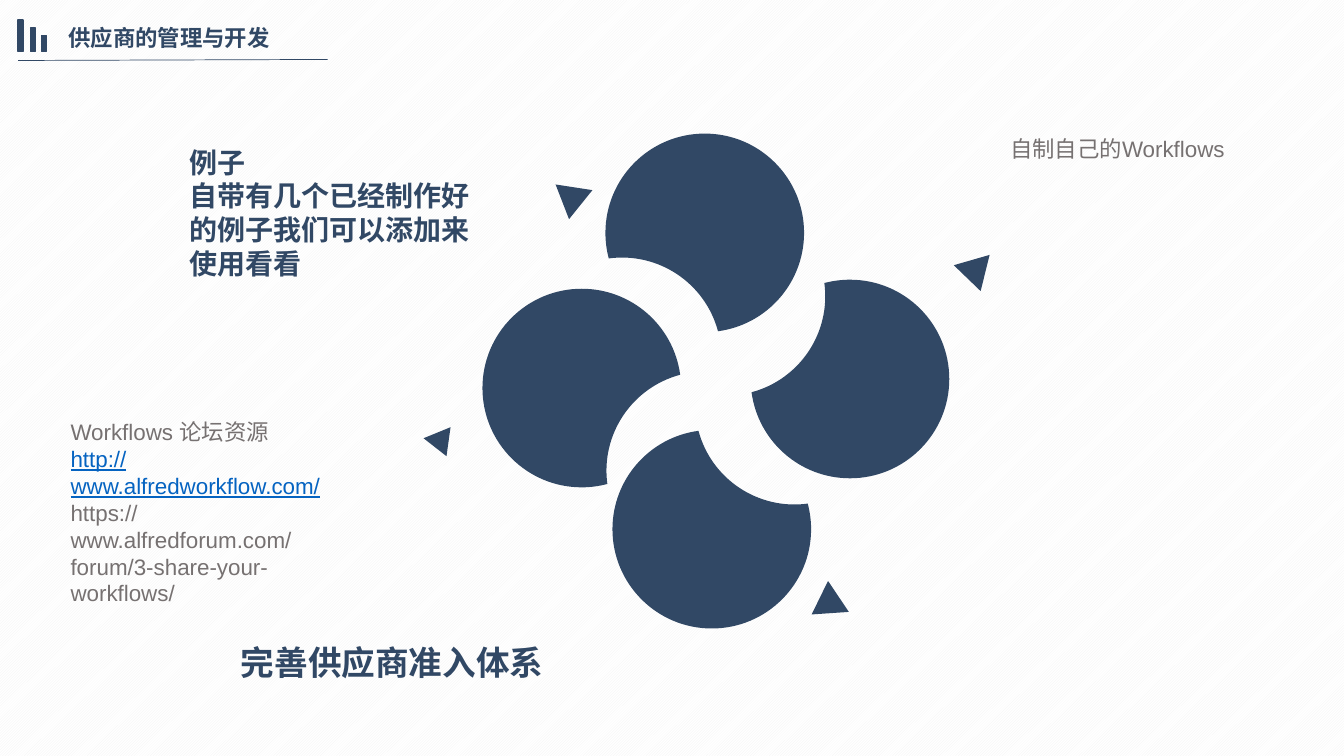
from math import acos, atan2, ceil, cos, floor, hypot, pi, sin, tan

from lxml.etree import SubElement
from pptx import Presentation
from pptx.dml.color import RGBColor
from pptx.enum.dml import MSO_PATTERN
from pptx.enum.shapes import MSO_CONNECTOR, MSO_SHAPE
from pptx.enum.text import MSO_ANCHOR, MSO_AUTO_SIZE, PP_ALIGN
from pptx.oxml.ns import qn
from pptx.util import Inches, Pt

NAVY, GREY, LINK = "314865", "767171", "0563C1"

TITLE = "供应商的管理与开发"
# box, inset, size, bold, lines as (text, colour, underline)
TEXTS = [
    ((1.88, 1.44, 2.83, 1.35), 0, 20, True, [
        ("例子", NAVY, False),
        ("自带有几个已经制作好的例子我们可以添加来使用看看", NAVY, False)]),
    ((10.02, 1.34, 2.79, 0.27), 0, 16, False, [
        ("自制自己的Workflows", GREY, False)]),
    ((0.7, 4.15, 2.83, 1.88), 0, 16, False, [
        ("Workflows 论坛资源", GREY, False),
        ("http://www.alfredworkflow.com/", LINK, True),
        ("https://www.alfredforum.com/forum/3-share-your-workflows/", GREY, False)]),
    ((2.29, 6.32, 3.91, 0.5), None, 24, True, [
        ("完善供应商准入体系", NAVY, False)]),
]
# circle centre, offset from it to the centre of the circle that cuts it
RADIUS = 1.97 / 2
PETALS = [
    ((6.99, 2.31), (-0.82, 1.23)),
    ((5.77, 3.85), (1.23, 0.82)),
    ((8.43, 3.76), (-1.23, -0.82)),
    ((7.06, 5.25), (0.82, -1.23)),
]
# left, top, width, height, rotation
TRIANGLES = [
    (5.45, 1.77, 0.37, 0.32, 308.8),
    (9.43, 2.51, 0.37, 0.32, 283.9),
    (8.09, 5.84, 0.37, 0.32, 116.1),
    (4.18, 4.24, 0.29, 0.25, 277.9),
]
BAR_BOTTOM = 0.51
BARS = [(0.18, 0.31), (0.3, 0.23), (0.41, 0.16)]  # left, height


def rgb(color):
    return RGBColor.from_string(color)


def paint(s, line=None):
    s.shadow.inherit = False
    s.fill.solid()
    s.fill.fore_color.rgb = rgb(NAVY)
    if line:
        s.line.color.rgb = rgb(NAVY)
        s.line.width = Pt(line)
    else:
        s.line.fill.background()


def write(p, text, size=16, color=NAVY, bold=False, underline=False, align=PP_ALIGN.LEFT):
    p.alignment = align
    r = p.add_run()
    r.text = text
    f = r.font
    f.name, f.size, f.bold, f.underline = "Arial", Pt(size), bold, underline
    f.color.rgb = rgb(color)


def set_frame(tf, inset=None):
    tf.word_wrap = True
    tf.auto_size = MSO_AUTO_SIZE.NONE
    tf.vertical_anchor = MSO_ANCHOR.TOP
    if inset is not None:
        tf.margin_left = tf.margin_top = tf.margin_right = tf.margin_bottom = Inches(inset)


def arc(center, angles):
    """Return Bezier points, three for each step between the angles, after the first."""
    def at(a, along=0):
        x = center[0] + RADIUS * (cos(a) - along * sin(a))
        y = center[1] + RADIUS * (sin(a) + along * cos(a))
        return Inches(x), Inches(y)

    points = [at(angles[0])]
    for a, b in zip(angles, angles[1:]):
        k = 4 / 3 * tan((b - a) / 4)
        points += [at(a, k), at(b, -k), at(b)]
    return points


def curve(s):
    """Turn each three line segments of a freeform into one Bezier segment."""
    lines = list(s._element.iter(qn("a:lnTo")))
    for first, second, last in zip(lines[::3], lines[1::3], lines[2::3]):
        first.tag = qn("a:cubicBezTo")
        for line in (second, last):
            first.append(line[0])
            line.getparent().remove(line)


def add_petal(shapes, center, offset):
    """Draw a disc with a bite taken out by an equal disc."""
    toward = atan2(offset[1], offset[0])
    half = acos(hypot(*offset) / 2 / RADIUS)
    start, end = toward + half, toward + 2 * pi - half
    quarters = range(ceil(start / (pi / 2)), floor(end / (pi / 2)) + 1)
    cutter = (center[0] + offset[0], center[1] + offset[1])
    points = arc(center, [start, *(q * pi / 2 for q in quarters), end])
    points += arc(cutter, [toward + pi + half, toward + pi - half])[1:]
    builder = shapes.build_freeform(*points[0])
    builder.add_line_segments(points[1:], close=True)
    s = builder.convert_to_shape()
    curve(s)
    paint(s)


def main():
    prs = Presentation()
    prs.slide_width, prs.slide_height = Inches(13.33), Inches(7.5)
    slide = prs.slides.add_slide(prs.slide_layouts[5])
    shapes = slide.shapes

    bg = slide.background.fill
    bg.patterned()
    bg.pattern = MSO_PATTERN.DARK_UPWARD_DIAGONAL
    bg.fore_color.rgb = rgb("F2F2F2")
    bg.back_color.rgb = rgb("FFFFFF")

    title = shapes.title
    title.left, title.top, title.width, title.height = map(Inches, (0.58, 0.19, 2.66, 0.37))
    set_frame(title.text_frame)
    write(title.text_frame.paragraphs[0], TITLE, bold=True, align=PP_ALIGN.JUSTIFY)

    for center, offset in PETALS:
        add_petal(shapes, center, offset)

    for *box, rotation in TRIANGLES:
        s = shapes.add_shape(MSO_SHAPE.ISOSCELES_TRIANGLE, *map(Inches, box))
        s.rotation = rotation
        paint(s)

    for box, inset, size, bold, lines in TEXTS:
        tf = shapes.add_textbox(*map(Inches, box)).text_frame
        set_frame(tf, inset)
        for i, (text, color, underline) in enumerate(lines):
            p = tf.add_paragraph() if i else tf.paragraphs[0]
            write(p, text, size, color, bold, underline)

    rule = shapes.add_connector(MSO_CONNECTOR.STRAIGHT, *map(Inches, (0.18, 0.6, 3.25, 0.59)))
    rule.line.color.rgb = rgb(NAVY)
    rule.line.width = Pt(0.5)
    SubElement(rule._element.spPr, qn("a:effectLst"))

    for left, height in BARS:
        box = (left, BAR_BOTTOM - height, 0.05, height)
        paint(shapes.add_shape(MSO_SHAPE.RECTANGLE, *map(Inches, box)), line=1)

    prs.save("out.pptx")


if __name__ == "__main__":
    main()
